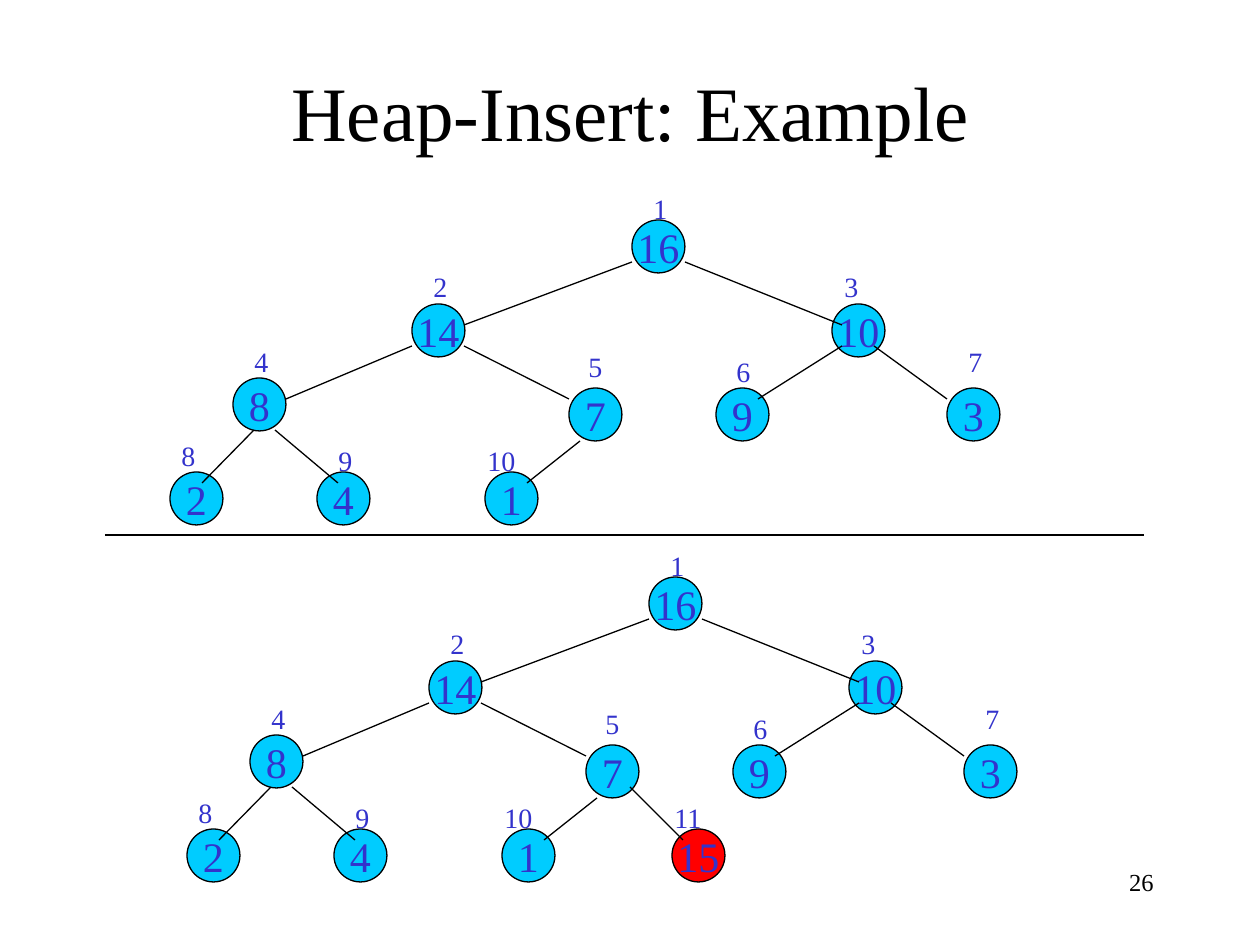
"""Build the heap insertion slide: a heap before and after adding 15."""
import pptx
import pptx.dml.color
import pptx.enum.shapes
import pptx.enum.text
import pptx.oxml.ns
import pptx.util
from lxml import etree

THEME = {
    "font": "Times New Roman",
    "ink": "000000", "number": "3333CC", "node": "00CCFF", "new": "FF0000",
    "title": 44, "key": 24, "index": 16, "page": 14, "line": 0.75,
}
ALIGN = pptx.enum.text.PP_ALIGN
ANCHOR = pptx.enum.text.MSO_ANCHOR
RGB = pptx.dml.color.RGBColor.from_string
PX = 914400 / 126
NODE = 53

NODES = [
    ("16", 632, 220), ("14", 412, 304), ("10", 832, 304), ("8", 233, 378),
    ("7", 569, 388), ("9", 716, 388), ("3", 947, 388), ("2", 170, 472),
    ("4", 317, 472), ("1", 485, 472), ("15", 655, 472),
]
EDGES = [
    (632, 262, 464, 325), (685, 262, 842, 325), (412, 346, 286, 399),
    (464, 346, 569, 399), (842, 346, 758, 399), (874, 346, 947, 399),
    (254, 430, 202, 483), (275, 430, 338, 483), (580, 441, 527, 483),
    (613, 430, 666, 483),
]
INDEXES = [
    (641, 185), (421, 263), (832, 263), (242, 338), (576, 343), (724, 348),
    (956, 338), (169, 432), (326, 437), (475, 437), (645, 437),
]
TREES = [(0, 0, 10), (17, 357, 11)]


def write(sp, text, size, color, align, anchor, wrap):
    tf = sp.text_frame
    tf.word_wrap = wrap
    tf.vertical_anchor = anchor
    p = tf.paragraphs[0]
    p.alignment = align
    r = p.add_run()
    r.text = text
    r.font.name = THEME["font"]
    r.font.size = pptx.util.Pt(THEME[size])
    r.font.color.rgb = RGB(THEME[color])


def draw_line(shapes, *ends):
    cx = shapes.add_connector(pptx.enum.shapes.MSO_CONNECTOR.STRAIGHT,
                              *[round(v * PX) for v in ends])
    cx.line.color.rgb = RGB(THEME["ink"])
    cx.line.width = pptx.util.Pt(THEME["line"])
    etree.SubElement(cx._element.spPr, pptx.oxml.ns.qn("a:effectLst"))


prs = pptx.Presentation()
prs.slide_width = round(1260 * PX)
prs.slide_height = round(945 * PX)
s = prs.slides.add_slide(prs.slide_layouts[6])

sp = s.shapes.add_textbox(*[round(v * PX) for v in (95, 32, 1071, 157)])
write(sp, "Heap-Insert: Example", "title", "ink", ALIGN.CENTER, ANCHOR.MIDDLE, True)

draw_line(s.shapes, 105, 535, 1144, 535)

for dx, dy, count in TREES:
    tree = s.shapes.add_group_shape().shapes
    for key, x, y in NODES[:count]:
        sp = tree.add_shape(pptx.enum.shapes.MSO_SHAPE.OVAL,
                            *[round(v * PX) for v in (x + dx, y + dy, NODE, NODE)])
        sp.shadow.inherit = False
        sp.fill.solid()
        sp.fill.fore_color.rgb = RGB(THEME["new" if key == "15" else "node"])
        sp.line.color.rgb = RGB(THEME["ink"])
        sp.line.width = pptx.util.Pt(THEME["line"])
        write(sp, key, "key", "number", ALIGN.CENTER, ANCHOR.MIDDLE, False)
    for x1, y1, x2, y2 in EDGES[:count - 1]:
        draw_line(tree, x1 + dx, y1 + dy, x2 + dx, y2 + dy)
    for i, (x, y) in enumerate(INDEXES[:count], 1):
        width = 39 if i < 10 else 53
        sp = tree.add_textbox(*[round(v * PX) for v in (x + dx, y + dy, width, 47)])
        write(sp, str(i), "index", "number", ALIGN.LEFT, ANCHOR.TOP, False)
        sp.text_frame.auto_size = pptx.enum.text.MSO_AUTO_SIZE.SHAPE_TO_FIT_TEXT

sp = s.shapes.add_textbox(*[round(v * PX) for v in (903, 861, 263, 63)])
write(sp, "26", "page", "ink", ALIGN.RIGHT, ANCHOR.TOP, True)

prs.save("out.pptx")
